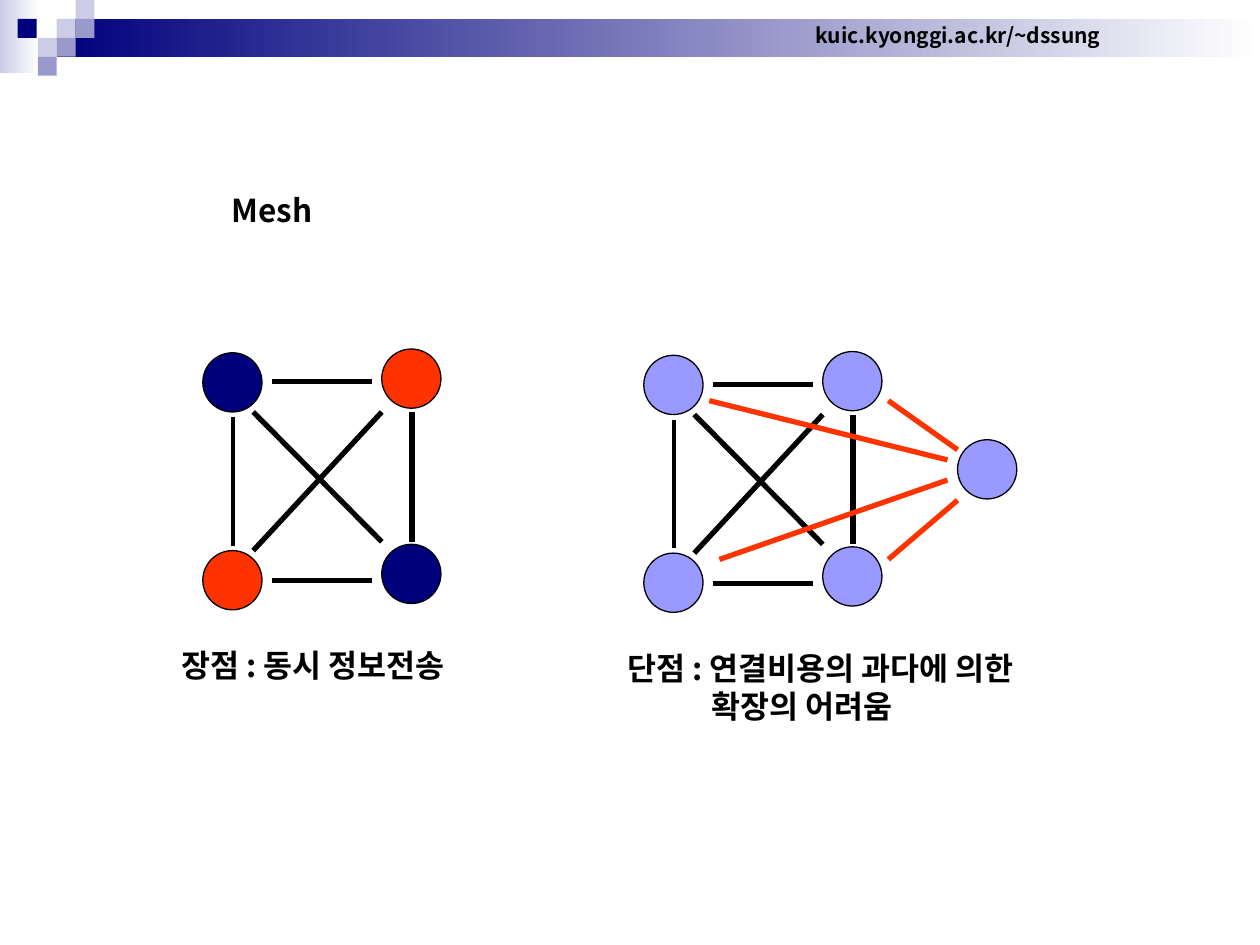
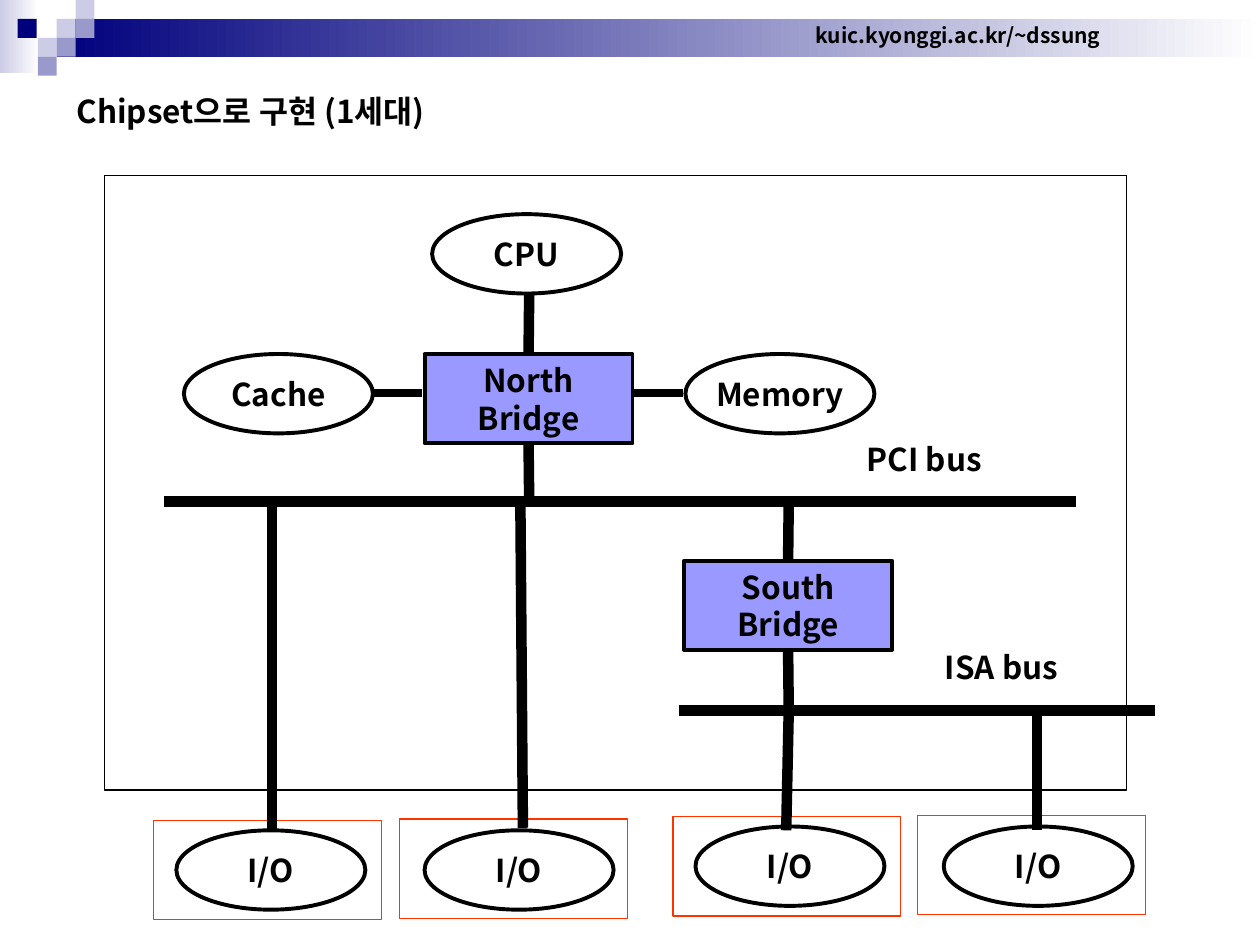
"""Build two slides on mesh networks and a first-generation chipset."""
import pptx
import pptx.util
import pptx.dml.color
import pptx.enum.shapes
import pptx.enum.text
import pptx.oxml.ns
from lxml import etree

Inches = pptx.util.Inches
MSO = pptx.enum.shapes.MSO_SHAPE
ALIGN = pptx.enum.text.PP_ALIGN
FONT = "Noto Sans CJK KR"
COLORS = {"black": "000000", "white": "FFFFFF", "navy": "00007D", "red": "FF3300",
          "violet": "9999FF", "mist": "CCCCE6", "slate": "9999CC"}
RGB = {name: pptx.dml.color.RGBColor.from_string(c) for name, c in COLORS.items()}


def add_box(s, kind, at, fill=None, line=None, width=0.75, text="", size=18, align=ALIGN.CENTER):
    at = [Inches(v) for v in at]
    if kind is None:
        sp = s.shapes.add_textbox(*at)
        sp.text_frame.auto_size = pptx.enum.text.MSO_AUTO_SIZE.SHAPE_TO_FIT_TEXT
    else:
        sp = s.shapes.add_shape(kind, *at)
        sp.shadow.inherit = False
        if fill:
            sp.fill.solid()
            sp.fill.fore_color.rgb = RGB[fill]
        else:
            sp.fill.background()
        if line:
            sp.line.color.rgb = RGB[line]
            sp.line.width = pptx.util.Pt(width)
        else:
            sp.line.fill.background()
    if text:
        tf = sp.text_frame
        tf.word_wrap = False
        tf.text = text
        for p in tf.paragraphs:
            p.alignment = align
            for r in p.runs:
                r.font.size = pptx.util.Pt(size)
                r.font.bold = True
                r.font.color.rgb = RGB["black"]
                r.font.name = FONT
                etree.SubElement(r._r.get_or_add_rPr(), pptx.oxml.ns.qn("a:ea"), typeface=FONT)
    return sp


def add_line(s, x1, y1, x2, y2, color="black", width=6):
    cxn = s.shapes.add_connector(pptx.enum.shapes.MSO_CONNECTOR.STRAIGHT,
                                 Inches(x1), Inches(y1), Inches(x2), Inches(y2))
    cxn.line.color.rgb = RGB[color]
    cxn.line.width = pptx.util.Pt(width)
    etree.SubElement(cxn._element.spPr, pptx.oxml.ns.qn("a:effectLst"))
    return cxn


prs = pptx.Presentation()
prs.slide_width, prs.slide_height = Inches(10), Inches(7.5)
mesh, chipset = [prs.slides.add_slide(prs.slide_layouts[6]) for _ in range(2)]

for s in (mesh, chipset):
    for at, start in [((0, 0, 0.31, 0.58), "mist"), ((0.45, 0.15, 9.55, 0.3), "navy")]:
        sp = add_box(s, MSO.RECTANGLE, at, "white")
        sp.fill.gradient()
        sp.fill.gradient_angle = 0
        for stop, color in zip(sp.fill.gradient_stops, (start, "white")):
            stop.color.rgb = RGB[color]
    for x, y, color in [(0.45, 0.15, "mist"), (0.6, 0, "mist"), (0.6, 0.15, "slate"),
                        (0.3, 0.3, "mist"), (0.14, 0.15, "navy"), (0.45, 0.3, "slate"),
                        (0.3, 0.45, "slate")]:
        add_box(s, MSO.RECTANGLE, (x, y, 0.15, 0.15), color)
    sp = add_box(s, None, (6.37, 0.13, 2.47, 0.3), text="kuic.kyonggi.ac.kr/~dssung", size=12)
    sp.text_frame.vertical_anchor = pptx.enum.text.MSO_ANCHOR.MIDDLE

s = mesh
add_box(s, None, (1.74, 1.47, 0.87, 0.4), text="Mesh", align=ALIGN.LEFT)
nodes = [(3.03, 2.77), (1.61, 2.8), (1.61, 4.37), (3.03, 4.32)]
links = [(2.01, 3.27, 3.03, 4.3, 3), (2.01, 4.37, 3.03, 3.27, 3), (2.16, 3.03, 2.95, 3.03, 3),
         (2.16, 4.61, 2.95, 4.61, 3), (1.85, 3.31, 1.85, 4.33, 2.25), (3.27, 3.27, 3.27, 4.3, 3)]
for dx, dy, fills in [(0, 0, ["red", "navy"] * 2), (3.5, 0.02, ["violet"] * 4)]:
    for (x, y), fill in zip(nodes, fills):
        add_box(s, MSO.OVAL, (x + dx, y + dy, 0.47, 0.47), fill, "black")
    for x1, y1, x2, y2, width in links:
        add_line(s, x1 + dx, y1 + dy, x2 + dx, y2 + dy, width=width)

add_box(s, MSO.OVAL, (7.6, 3.49, 0.47, 0.47), "violet", "black")
for ends in [(7.05, 3.18, 7.6, 3.57), (7.05, 4.44, 7.6, 3.97),
             (5.63, 3.18, 7.52, 3.65), (5.71, 4.44, 7.52, 3.81)]:
    add_line(s, *ends, color="red", width=3)

for at, text in [((1.34, 5.08, 2.36, 0.7), "장점 : 동시 정보전송"),
                 ((4.88, 5.1, 3.33, 1), "단점 : 연결비용의 과다에 의한\n확장의 어려움")]:
    sp = add_box(s, None, at, text=text, align=ALIGN.LEFT)
    sp.text_frame.word_wrap = True
    for p in sp.text_frame.paragraphs[1:]:
        p._p.get_or_add_pPr().set("marL", str(Inches(0.67)))

s = chipset
for at, text in [((0.51, 0.68, 3.23, 0.4), "Chipset으로 구현 (1세대)"),
                 ((6.78, 3.44, 1.12, 0.4), "PCI bus"), ((7.4, 5.09, 1.12, 0.4), "ISA bus")]:
    add_box(s, None, at, text=text, align=ALIGN.LEFT)

add_box(s, MSO.RECTANGLE, (0.83, 1.39, 8.11, 4.88), line="black")
for x, y in [(1.22, 6.51), (3.17, 6.5), (5.34, 6.48), (7.28, 6.47)]:
    add_box(s, MSO.RECTANGLE, (x, y, 1.81, 0.79), line="red")
for x, y, text in [(3.43, 1.7, "CPU"), (5.44, 2.81, "Memory"), (1.46, 2.81, "Cache"),
                   (1.4, 6.59, "I/O"), (3.37, 6.59, "I/O"), (5.52, 6.56, "I/O"), (7.49, 6.56, "I/O")]:
    add_box(s, MSO.OVAL, (x, y, 1.5, 0.63), "white", "black", 2.25, text)
north, south = [add_box(s, MSO.RECTANGLE, (x, y, 1.65, 0.71), "violet", "black", 2.25, text)
                for x, y, text in [(3.37, 2.81, "North\nBridge"), (5.43, 4.45, "South\nBridge")]]

for ends in [(1.3, 3.98, 8.54, 3.98), (5.39, 5.64, 9.17, 5.64), (2.16, 3.99, 2.16, 6.59),
             (4.13, 3.99, 4.15, 6.57), (6.26, 5.64, 6.24, 6.59), (8.23, 5.64, 8.23, 6.59)]:
    add_line(s, *ends)
for x1, x2 in [(2.95, 3.35), (5.03, 5.42)]:
    add_line(s, x1, 3.12, x2, 3.12, width=4.5)
for bridge, x, above, top, bottom, below in [(north, 4.2, 2.33, 2.81, 3.52, 3.98),
                                             (south, 6.26, 3.98, 4.45, 5.16, 5.64)]:
    add_line(s, x, above, x, top).end_connect(bridge, 0)
    add_line(s, x, bottom, x, below).begin_connect(bridge, 2)

prs.save("out.pptx")
